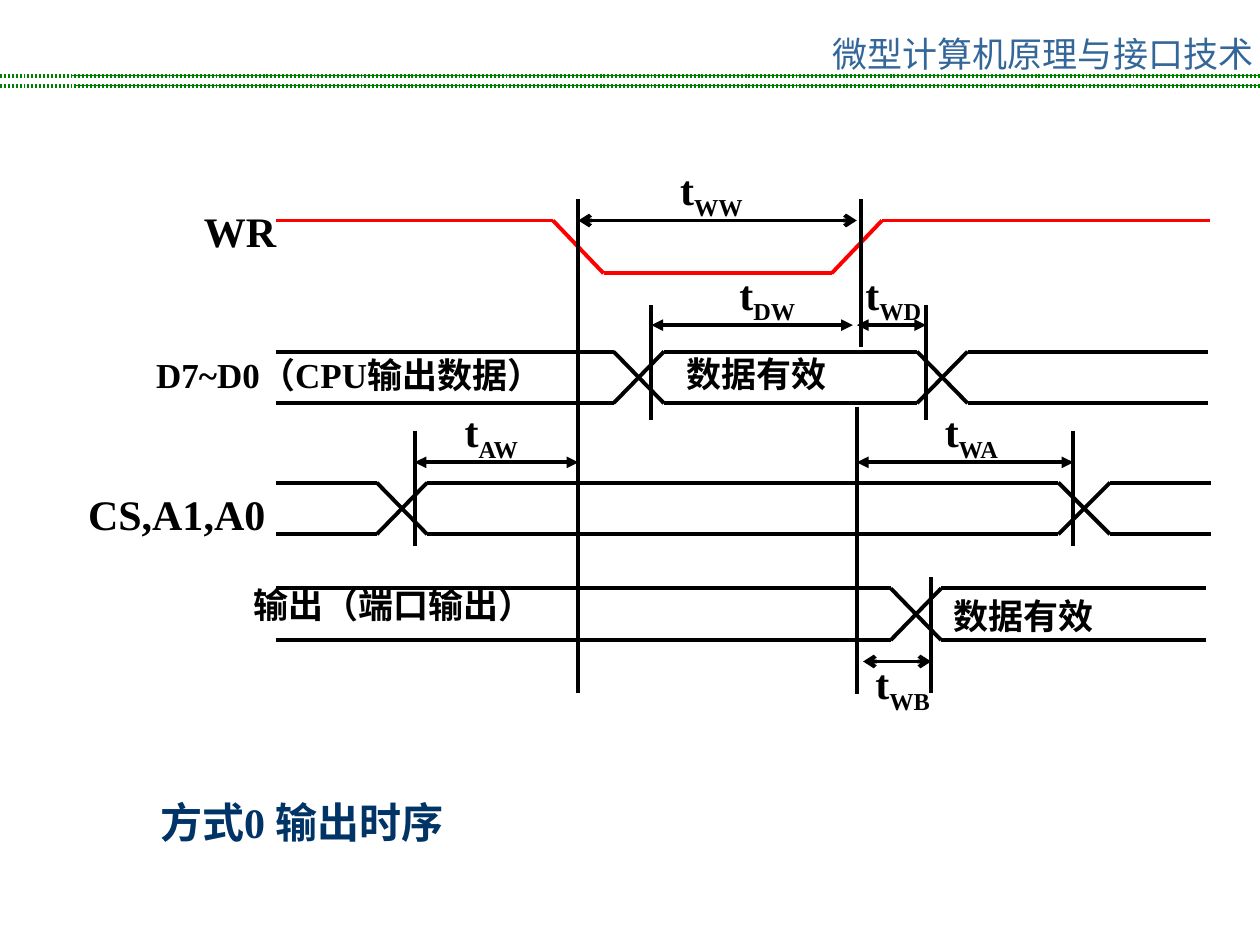
from itertools import pairwise

from lxml import etree
from pptx import Presentation
from pptx.dml.color import RGBColor
from pptx.enum import shapes, text
from pptx.oxml.ns import qn
from pptx.util import Pt

BLACK = RGBColor(0x00, 0x00, 0x00)
RED = RGBColor(0xFF, 0x00, 0x00)
GREEN = RGBColor(0x00, 0x80, 0x00)
HEADER_BLUE = RGBColor(0x33, 0x66, 0x99)
TITLE_BLUE = RGBColor(0x00, 0x33, 0x66)
LATIN, CJK = "Times New Roman", "Noto Sans CJK SC"

prs = Presentation()
prs.slide_width, prs.slide_height = Pt(720), Pt(540)
s = prs.slides.add_slide(prs.slide_layouts[5])


def add_line(x1, y1, x2, y2, color=BLACK, width=2.25, arrow=None):
    """Draw a line; arrow names the arrowhead put on both ends."""
    sp = s.shapes.add_connector(shapes.MSO_CONNECTOR.STRAIGHT,
                                Pt(x1), Pt(y1), Pt(x2), Pt(y2))
    sp.line.color.rgb, sp.line.width = color, Pt(width)
    if arrow:
        ln = sp.line._get_or_add_ln()
        for end in ("a:headEnd", "a:tailEnd"):
            etree.SubElement(ln, qn(end), type=arrow)
    etree.SubElement(sp._element.spPr, qn("a:effectLst"))
    return sp


def format_text(sp, size, color=BLACK, latin=LATIN, bold=True):
    for r in sp.text_frame.paragraphs[0].runs:
        r.font.size, r.font.bold = Pt(size), bold
        r.font.name, r.font.color.rgb = latin, color
        etree.SubElement(r._r.get_or_add_rPr(), qn("a:ea"), typeface=CJK)


# Page header with a finely dotted double rule
for y, x in ((49, 42.5), (43.2, 41)):
    add_line(x, y, 720, y, GREEN, 0.75)
    rule = add_line(0, y, 720, y, GREEN)
    dash = etree.SubElement(rule.line._get_or_add_ln(), qn("a:custDash"))
    etree.SubElement(dash, qn("a:ds"), d="50000", sp="50000")
header = s.shapes.add_textbox(Pt(472), Pt(15.1), Pt(248), Pt(32))
tf = header.text_frame
tf.word_wrap = False
tf.margin_left = tf.margin_right = 0
tf.text = "微型计算机原理与接口技术"
tf.paragraphs[0].alignment = text.PP_ALIGN.CENTER
format_text(header, 20, HEADER_BLUE, CJK, False)

# Bus signals: level pairs that cross over between neighbouring segments
buses = [
    (200.9, 230.4, [(157.7, 350.6), (379.4, 524), (552.9, 690.5)]),
    (275.8, 305.3, [(157.7, 215.3), (244.1, 604.8), (634.3, 691.9)]),
    (336.2, 365.8, [(157.7, 509), (537.8, 689)]),
]
for high, low, segments in buses:
    for start, end in segments:
        add_line(start, high, end, high)
        add_line(start, low, end, low)
    for (_, left), (right, _) in pairwise(segments):
        add_line(left, high, right, low)
        add_line(left, low, right, high)

# Write strobe
strobe = [(157.7, 126), (316, 126), (344.9, 156.2), (475.2, 156.2),
          (504, 126), (691.2, 126)]
for start, end in pairwise(strobe):
    add_line(*start, *end, RED)

# Vertical time marks: x, top, bottom
for x, top, bottom in [(330.5, 113.8, 396), (491.8, 113.8, 198),
                       (489.6, 232.6, 396.7), (532.1, 329.8, 396),
                       (613.4, 246.2, 311.8), (529.2, 174.2, 239.8),
                       (372.2, 174.2, 239.8), (236.9, 246.2, 311.8)]:
    add_line(x, top, x, bottom)

# Timing intervals: subscript, start, end, y, arrowhead, label left, label top
intervals = [
    ("WW", 330.5, 489.6, 126, "arrow", 381.6, 90),
    ("DW", 372.2, 487.4, 185.8, "triangle", 415.4, 149.8),
    ("WD", 489.6, 529.2, 185.8, "triangle", 487.4, 149.8),
    ("AW", 236.9, 330.5, 264.2, "triangle", 258.5, 228.2),
    ("WA", 489.6, 613.4, 264.2, "triangle", 532.8, 228.2),
    ("WB", 493.2, 532.1, 378, "arrow", 493.2, 372.2),
]
for name, start, end, y, arrow, left, top in intervals:
    add_line(start, y, end, y, arrow=arrow)
    label = s.shapes.add_textbox(Pt(left), Pt(top), Pt(72), Pt(40.3))
    label.text_frame.word_wrap = True
    p = label.text_frame.paragraphs[0]
    for part in ("t", name):
        p.add_run().text = part
    format_text(label, 24)
    p.runs[1]._r.get_or_add_rPr().set("baseline", "-25000")

# Signal names: text, size, left, top, width, height
for wording, size, left, top, width, height in [
        ("WR", 24, 109.4, 113.8, 102.2, 36),
        ("D7~D0（CPU输出数据）", 20, 82.1, 198.7, 244.1, 55.4),
        ("数据有效", 20, 385.2, 198, 115.9, 31.7),
        ("CS,A1,A0", 24, 43.2, 275.8, 126, 36),
        ("输出（端口输出）", 20, 137.5, 329.8, 200.2, 31.7),
        ("数据有效", 20, 537.8, 336.2, 162.7, 31.7)]:
    label = s.shapes.add_textbox(Pt(left), Pt(top), Pt(width), Pt(height))
    label.text_frame.word_wrap = True
    label.text_frame.text = wording
    format_text(label, size)

# Title below the diagram
title = s.shapes.title
title.left, title.top, title.width, title.height = Pt(70.6), Pt(451.4), Pt(203.8), Pt(36)
tf = title.text_frame
tf.text = "方式0 输出时序"
tf.word_wrap, tf.auto_size = True, text.MSO_AUTO_SIZE.NONE
tf.vertical_anchor = text.MSO_ANCHOR.TOP
tf.paragraphs[0].alignment = text.PP_ALIGN.CENTER
format_text(title, 24, TITLE_BLUE)

prs.save("out.pptx")
